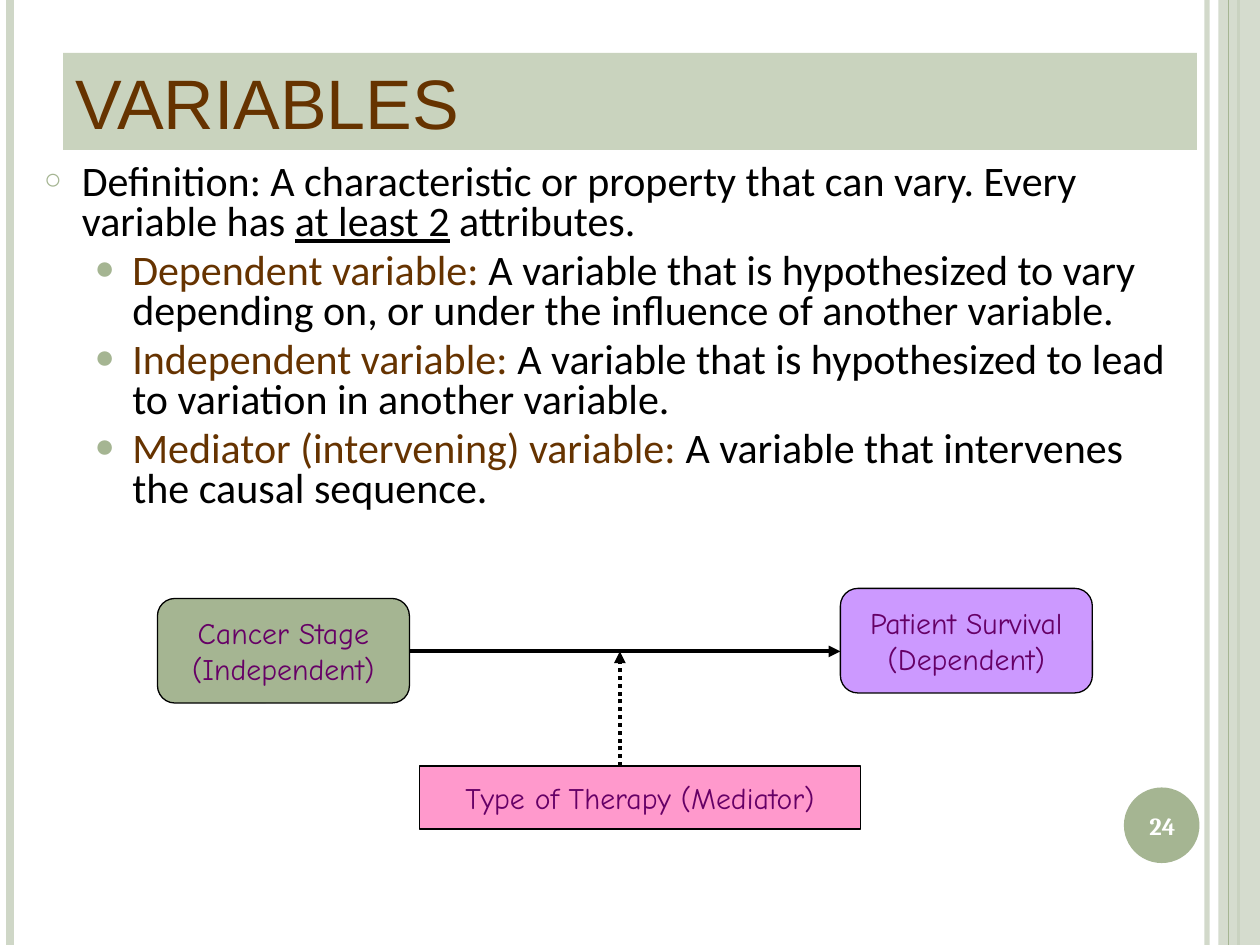
from dataclasses import dataclass
from typing import Optional

from lxml.etree import SubElement
from pptx import Presentation
from pptx.dml.color import RGBColor
from pptx.enum.dml import MSO_LINE as Dash
from pptx.enum.shapes import MSO_CONNECTOR as Connector, MSO_SHAPE as Preset
from pptx.enum.text import MSO_ANCHOR as Anchor, MSO_AUTO_SIZE as AutoSize, PP_ALIGN as Align
from pptx.oxml.ns import qn
from pptx.util import Inches, Pt

COLORS = {
    "sage": "A5B592", "pale": "CFD7C7", "banner": "C9D3BE", "brown": "663300",
    "black": "000000", "white": "FFFFFF", "purple": "660066",
    "lilac": "CC99FF", "pink": "FF99CC",
}


@dataclass
class Line:
    start: tuple[float, float]
    end: tuple[float, float]
    color: str
    width: float
    opacity: int = 100
    dash: Optional[Dash] = None
    arrow: bool = False


@dataclass
class Box:
    preset: Preset
    bounds: tuple[float, float, float, float]
    fill: str
    lines: tuple[str, ...] = ()
    outline: Optional[str] = None
    opacity: int = 100


@dataclass
class Bullet:
    runs: tuple[tuple[str, str, bool], ...]
    level: int = 1


RULES = [
    Line((9.58, 0), (9.58, 7.5), "pale", 3, opacity=93),
    Line((0.08, 0), (0.08, 7.5), "pale", 4.5),
    Line((9.83, 0), (9.83, 7.5), "sage", 1.5),
]
SIDE_BAND = Box(Preset.RECTANGLE, (9.67, 0, 0.33, 7.5), "pale", opacity=87)
BAND_RULE = Line((9.75, 0), (9.75, 7.5), "sage", 0.75)
NUMBER_DISC = Box(Preset.OVAL, (8.92, 6.25, 0.6, 0.6), "sage")

BOXES = [
    Box(Preset.FLOWCHART_ALTERNATE_PROCESS, (1.25, 4.75, 2, 0.83), "sage",
        ("Cancer Stage", "(Independent)"), "black"),
    Box(Preset.FLOWCHART_ALTERNATE_PROCESS, (6.67, 4.67, 2, 0.83), "lilac",
        ("Patient Survival", "(Dependent)"), "black"),
    Box(Preset.FLOWCHART_PROCESS, (3.33, 6.08, 3.5, 0.5), "pink",
        ("Type of Therapy (Mediator)",), "black"),
]
ARROWS = [
    Line((3.25, 5.17), (6.67, 5.17), "black", 2.25, arrow=True),
    Line((4.92, 6.08), (4.92, 5.17), "black", 2.25, dash=Dash.ROUND_DOT, arrow=True),
]
BULLETS = [
    Bullet((("Definition: A characteristic or property that can vary. Every variable has ", "black", False),
            ("at least 2", "black", True), (" attributes.", "black", False)), level=0),
    Bullet((("Dependent variable: ", "brown", False),
            ("A variable that is hypothesized to vary depending on, or under the influence "
             "of another variable.", "black", False))),
    Bullet((("Independent variable:", "brown", False),
            (" A variable that is hypothesized to lead to variation in another variable.", "black", False))),
    Bullet((("Mediator (intervening) variable: ", "brown", False),
            ("A variable that intervenes the causal sequence.", "black", False))),
]
BULLET_STYLES = [("○", 70, 0.3, 6), ("●", 80, 0.7, 4.8)]


def rgb(name: str) -> RGBColor:
    """Return the named palette color."""
    return RGBColor.from_string(COLORS[name])


def add_run(paragraph, text: str, *, font: str, size: float, color: str,
            bold: bool = False, underline: bool = False) -> None:
    """Append a formatted run to a paragraph."""
    run = paragraph.add_run()
    run.text = text
    run.font.name, run.font.size = font, Pt(size)
    run.font.bold, run.font.underline = bold, underline
    run.font.color.rgb = rgb(color)


def place(shape, bounds: tuple[float, float, float, float]) -> None:
    """Move and size a shape in inches."""
    shape.left, shape.top, shape.width, shape.height = map(Inches, bounds)


def set_opacity(properties, percent: int) -> None:
    """Make the first solid color in the properties translucent."""
    if percent < 100:
        color = next(properties.iter(qn("a:srgbClr")))
        SubElement(color, qn("a:alpha"), val=str(percent * 1000))


def add_line(slide, line: Line) -> None:
    """Draw a straight rule or arrow."""
    connector = slide.shapes.add_connector(
        Connector.STRAIGHT, *map(Inches, line.start + line.end))
    connector.line.color.rgb = rgb(line.color)
    connector.line.width = Pt(line.width)
    if line.dash:
        connector.line.dash_style = line.dash
    properties = connector.element.spPr
    set_opacity(properties, line.opacity)
    if line.arrow:
        SubElement(properties.find(qn("a:ln")), qn("a:tailEnd"), type="triangle")
    SubElement(properties, qn("a:effectLst"))


def add_box(slide, box: Box) -> None:
    """Draw a filled shape with optional centred lines of text."""
    shape = slide.shapes.add_shape(box.preset, *map(Inches, box.bounds))
    shape.shadow.inherit = False
    shape.fill.solid()
    shape.fill.fore_color.rgb = rgb(box.fill)
    set_opacity(shape.element.spPr, box.opacity)
    if box.outline:
        shape.line.color.rgb = rgb(box.outline)
        shape.line.width = Pt(0.75)
    else:
        shape.line.fill.background()
    frame = shape.text_frame
    frame.word_wrap, frame.vertical_anchor = False, Anchor.MIDDLE
    for index, text in enumerate(box.lines):
        paragraph = frame.add_paragraph() if index else frame.paragraphs[0]
        paragraph.alignment = Align.CENTER
        add_run(paragraph, text, font="Comic Neue", size=17, color="purple")


def fill_title(title) -> None:
    """Format the title as a banner."""
    place(title, (0.5, 0.42, 9, 0.77))
    title.fill.solid()
    title.fill.fore_color.rgb = rgb("banner")
    frame = title.text_frame
    frame.auto_size, frame.vertical_anchor = AutoSize.NONE, Anchor.MIDDLE
    frame.paragraphs[0].alignment = Align.LEFT
    add_run(frame.paragraphs[0], "VARIABLES", font="Arial", size=40, color="brown")


def fill_body(body) -> None:
    """Write the bulleted definitions."""
    place(body, (0.25, 1.25, 9.25, 5.58))
    frame = body.text_frame
    frame.auto_size, frame.vertical_anchor = AutoSize.NONE, Anchor.TOP
    for index, bullet in enumerate(BULLETS):
        paragraph = frame.add_paragraph() if index else frame.paragraphs[0]
        character, percent, margin, space = BULLET_STYLES[bullet.level]
        paragraph.level = bullet.level
        paragraph.line_spacing, paragraph.space_before = 0.8, Pt(space)
        properties = paragraph._p.get_or_add_pPr()
        properties.set("marL", str(Inches(margin)))
        properties.set("indent", str(Inches(-0.3)))
        SubElement(SubElement(properties, qn("a:buClr")), qn("a:srgbClr"), val=COLORS["sage"])
        SubElement(properties, qn("a:buSzPct"), val=str(percent * 1000))
        SubElement(properties, qn("a:buFont"), typeface="Arial")
        SubElement(properties, qn("a:buChar"), char=character)
        for text, color, underline in bullet.runs:
            add_run(paragraph, text, font="Calibri", size=24, color=color, underline=underline)


def add_number(slide, text: str) -> None:
    """Write the slide number over its disc."""
    frame = slide.shapes.add_textbox(*map(Inches, (8.89, 6.27, 0.67, 0.57))).text_frame
    frame.word_wrap, frame.vertical_anchor = True, Anchor.MIDDLE
    frame.paragraphs[0].alignment = Align.CENTER
    add_run(frame.paragraphs[0], text, font="Cambria", size=14, color="white", bold=True)


def main() -> None:
    """Build and save the slide."""
    presentation = Presentation()
    presentation.slide_width, presentation.slide_height = Inches(10), Inches(7.5)
    slide = presentation.slides.add_slide(presentation.slide_layouts[1])
    fill_title(slide.shapes.title)
    fill_body(slide.placeholders[1])
    for rule in RULES:
        add_line(slide, rule)
    add_box(slide, SIDE_BAND)
    add_line(slide, BAND_RULE)
    add_box(slide, NUMBER_DISC)
    for box in BOXES:
        add_box(slide, box)
    for arrow in ARROWS:
        add_line(slide, arrow)
    add_number(slide, "24")
    presentation.save("out.pptx")


if __name__ == "__main__":
    main()
